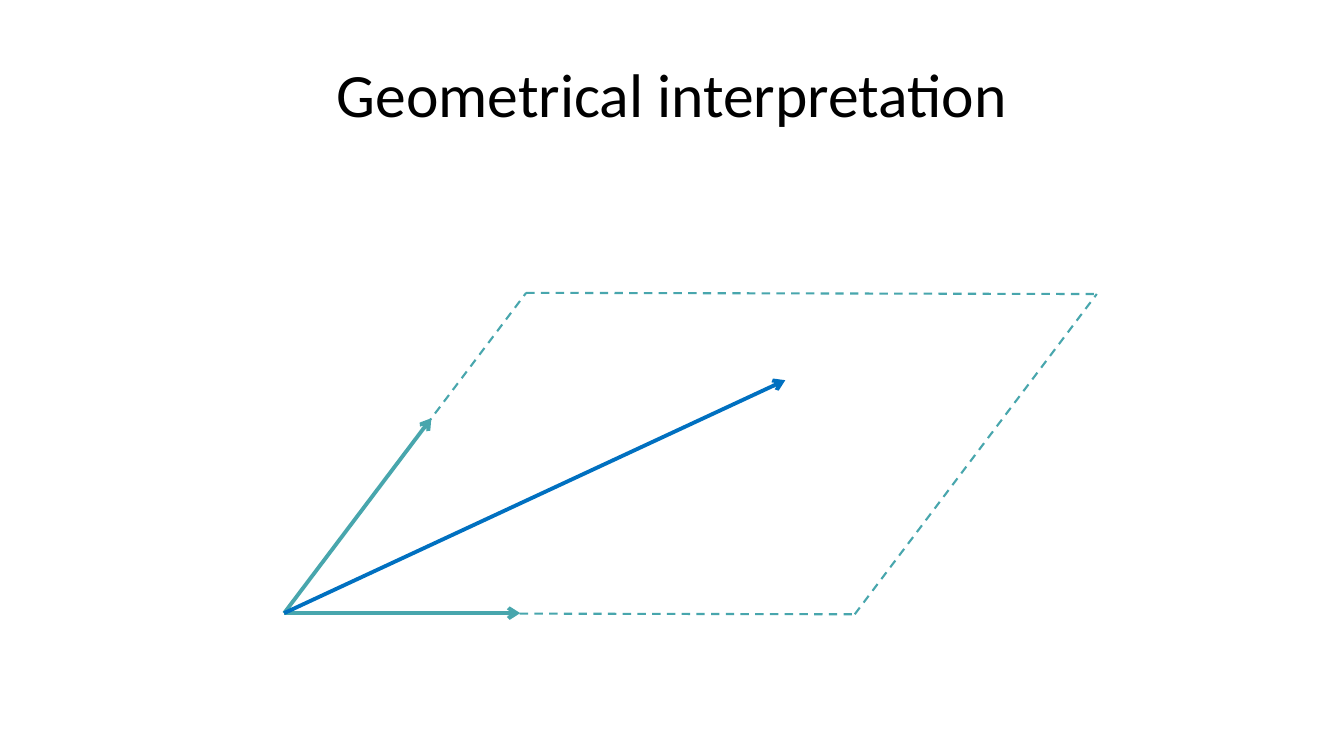
from dataclasses import dataclass

from lxml import etree
from pptx import Presentation
from pptx.dml.color import RGBColor
from pptx.enum.dml import MSO_LINE
from pptx.enum.shapes import MSO_CONNECTOR
from pptx.enum.text import MSO_ANCHOR, PP_ALIGN
from pptx.oxml.ns import qn
from pptx.util import Cm, Pt

STRAIGHT = MSO_CONNECTOR.STRAIGHT
DASH = MSO_LINE.DASH
MIDDLE = MSO_ANCHOR.MIDDLE
CENTER = PP_ALIGN.CENTER
TITLE_ONLY = 5


@dataclass(frozen=True)
class Theme:
    font: str = "Calibri"
    ink: str = "000000"
    teal: str = "48A6AD"
    blue: str = "0070C0"
    title: float = 44
    thin: float = 1.5
    thick: float = 2.75


def write(frame, text, *, font, size, color, align):
    frame.text = text
    para = frame.paragraphs[0]
    para.alignment = align
    para.font.name = font
    para.font.size = Pt(size)
    para.font.color.rgb = RGBColor.from_string(color)


def add(a, b):
    """Sum of two points or vectors."""
    return a[0] + b[0], a[1] + b[1]


class Board:
    """Holds the theme and the current slide."""

    def __init__(self, deck, theme):
        self.theme = theme
        self.slide = deck.slides.add_slide(deck.slide_layouts[TITLE_ONLY])

    def title(self, text, left, top, width, height):
        box = self.slide.shapes.title
        box.left, box.top = Cm(left), Cm(top)
        box.width, box.height = Cm(width), Cm(height)
        box.text_frame.vertical_anchor = MIDDLE
        write(box.text_frame, text, font=self.theme.font,
              size=self.theme.title, color=self.theme.ink, align=CENTER)

    def line(self, start, end, color, width):
        link = self.slide.shapes.add_connector(
            STRAIGHT, *(Cm(n) for n in (*start, *end)))
        link.line.color.rgb = RGBColor.from_string(color)
        link.line.width = Pt(width)
        etree.SubElement(link._element.spPr, qn("a:effectLst"))
        return link

    def edge(self, start, end):
        link = self.line(start, end, self.theme.teal, self.theme.thin)
        link.line.dash_style = DASH

    def arrow(self, start, end, color):
        link = self.line(start, end, color, self.theme.thick)
        head = etree.SubElement(link.line._get_or_add_ln(), qn("a:tailEnd"))
        head.set("type", "arrow")


def main():
    deck = Presentation()
    deck.slide_width, deck.slide_height = Cm(33.87), Cm(19.05)
    theme = Theme()
    board = Board(deck, theme)
    board.title("Geometrical interpretation", 1.7, 0.76, 30.48, 3.18)

    origin = (7.16, 15.45)
    base, side = (14.38, 0.03), (6.1, -8.07)
    right, left = add(origin, base), add(origin, side)
    far = add(right, side)
    for start, end in ((origin, right), (left, far),
                       (origin, left), (right, far)):
        board.edge(start, end)

    for tip, color in (((13.11, 15.45), theme.teal),
                       ((10.87, 10.54), theme.teal),
                       ((19.79, 9.58), theme.blue)):
        board.arrow(origin, tip, color)

    deck.save("out.pptx")


if __name__ == "__main__":
    main()
